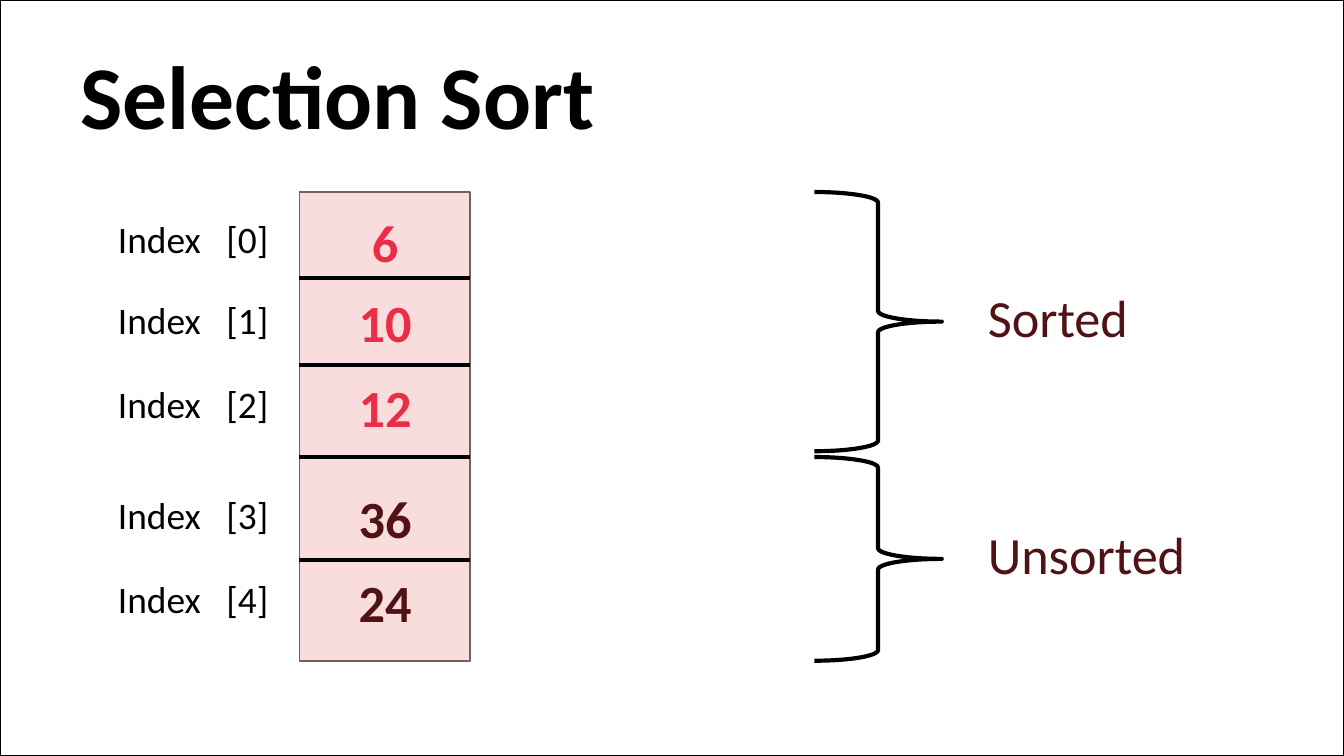
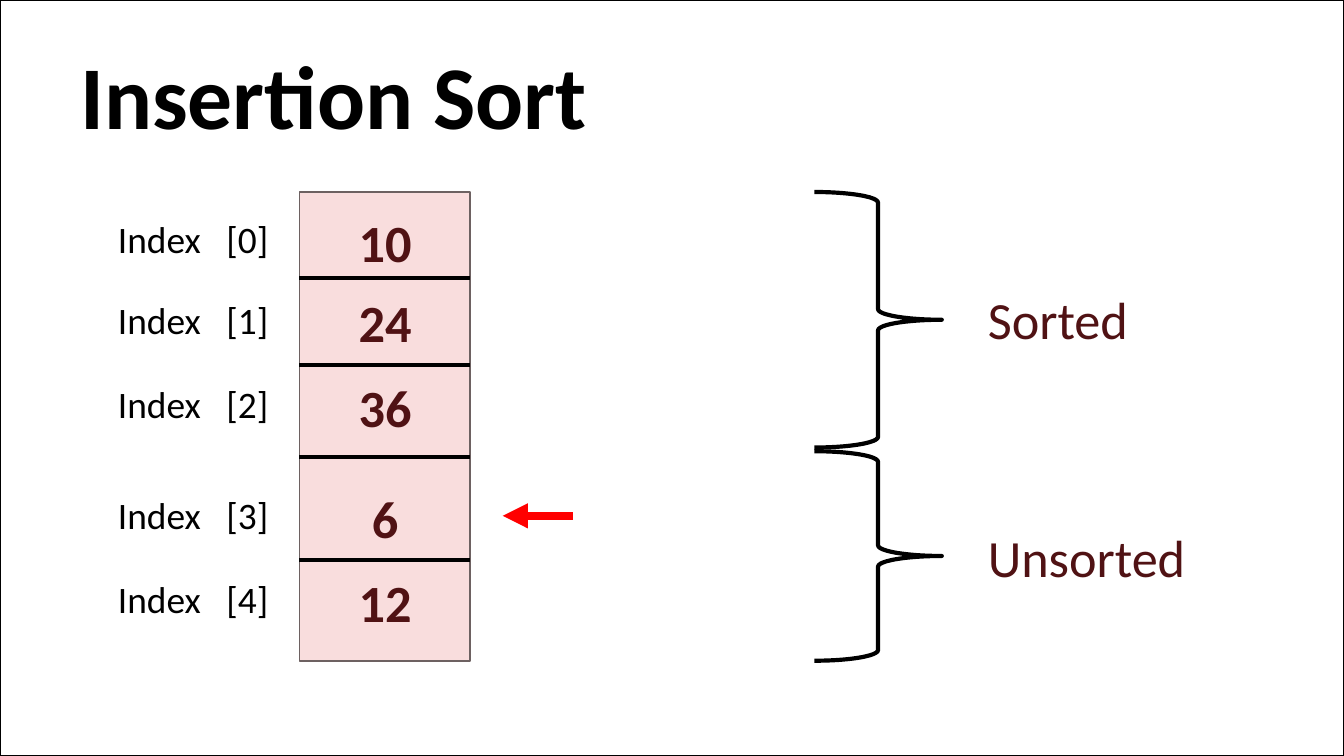
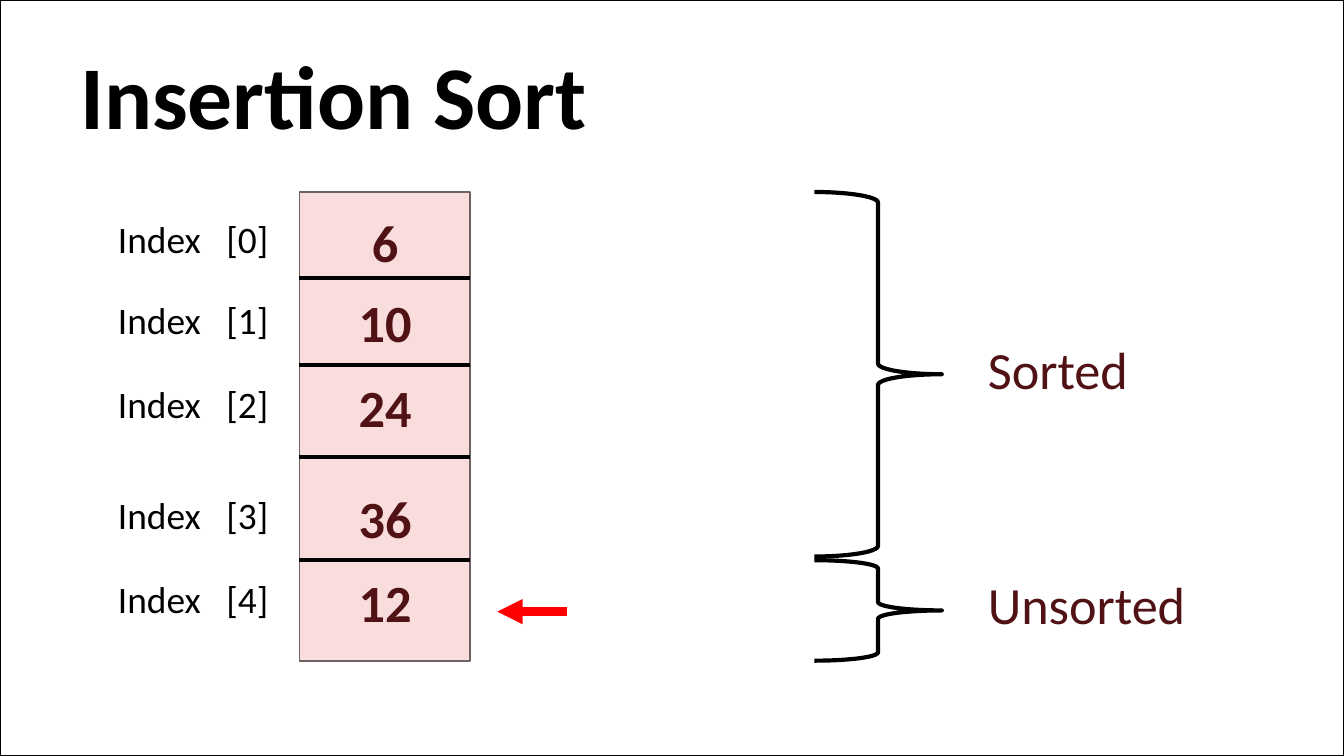
from lxml import etree
from pptx import Presentation, util as u
from pptx.dml.color import RGBColor
from pptx.enum import shapes, text
from pptx.oxml.ns import qn

Cm, Pt = u.Cm, u.Pt
color = RGBColor.from_string

# Shared look
FONT = "Calibri"
BLACK, WHITE, RED = "000000", "FFFFFF", "FF0000"
MAROON, CRIMSON = "501214", "EB2E47"
CELL_PINK, CELL_EDGE = "F9DDDD", "6D6161"
RULE = 2.25

# Array column and braces, in cm
ARRAY_LEFT, ARRAY_TOP, ARRAY_WIDTH, ARRAY_HEIGHT = 5.66, 3.63, 3.23, 8.86
ARRAY_BOTTOM = ARRAY_TOP + ARRAY_HEIGHT
DIVIDERS = [5.26, 6.9, 8.64, 10.59]
INDEX_TOPS = [3.1, 4.62, 6.22, 8.31, 9.91]
VALUE_DROP = 0.75
BRACE_LEFT, BRACE_WIDTH = 15.39, 2.41
LABEL_LEFT = 18.42

# Each step: values, how many are highlighted, the end of the sorted part,
# the start of the unsorted part, label tops, and the arrow's tail (x, y)
STEPS = [
    ("Selection Sort", [6, 10, 12, 36, 24], 3, 8.53, 8.64, (5.26, 9.75), None),
    ("Insertion Sort", [10, 24, 36, 6, 12], 0, 8.46, 8.53, (5.31, 9.8), (10.82, 9.75)),
    ("Insertion Sort", [6, 10, 24, 36, 12], 0, 10.52, 10.59, (6.25, 10.69), (10.72, 11.56)),
]


def add_text(slide, words, left, top, width, height, size, ink, bold=False):
    box = slide.shapes.add_textbox(Cm(left), Cm(top), Cm(width), Cm(height))
    box.text_frame.word_wrap = True
    box.text_frame.text = words
    font = box.text_frame.paragraphs[0].runs[0].font
    font.name, font.size, font.bold = FONT, Pt(size), bold
    font.color.rgb = color(ink)
    return box.text_frame


def add_line(slide, x1, y1, x2, y2, ink, width):
    line = slide.shapes.add_connector(
        shapes.MSO_CONNECTOR.STRAIGHT, Cm(x1), Cm(y1), Cm(x2), Cm(y2))
    line.line.color.rgb = color(ink)
    line.line.width = Pt(width)
    etree.SubElement(line._element.spPr, qn("a:effectLst"))
    return line


deck = Presentation()
deck.slide_width, deck.slide_height = Cm(25.4), Cm(14.29)

for title, values, highlighted, sorted_end, unsorted_start, label_tops, arrow_tail in STEPS:
    slide = deck.slides.add_slide(deck.slide_layouts[6])

    # Framed page and array column
    for left, top, width, height, fill, edge in [
        (0, 0, 25.4, 14.29, WHITE, BLACK),
        (ARRAY_LEFT, ARRAY_TOP, ARRAY_WIDTH, ARRAY_HEIGHT, CELL_PINK, CELL_EDGE),
    ]:
        panel = slide.shapes.add_shape(
            shapes.MSO_SHAPE.RECTANGLE, Cm(left), Cm(top), Cm(width), Cm(height))
        panel.shadow.inherit = False
        panel.fill.solid()
        panel.fill.fore_color.rgb = color(fill)
        panel.line.color.rgb = color(edge)
        panel.line.width = Pt(1)

    # Title
    heading = add_text(slide, title, 1.27, 0.79, 22.86, 2.21, 48, BLACK, True)
    heading.vertical_anchor = text.MSO_ANCHOR.MIDDLE
    heading.paragraphs[0].line_spacing = 0.9

    # Cell dividers
    for y in DIVIDERS:
        add_line(slide, ARRAY_LEFT, y, ARRAY_LEFT + ARRAY_WIDTH, y, BLACK, RULE)

    # Index labels and cell values
    for i, (top, value) in enumerate(zip(INDEX_TOPS, values)):
        index = add_text(slide, f"Index\t[{i}]", 1.98, top, 3.51, 3.68, 20, BLACK)
        index.margin_top = Cm(0.99)
        tabs = etree.SubElement(
            index.paragraphs[0]._p.get_or_add_pPr(), qn("a:tabLst"))
        etree.SubElement(tabs, qn("a:tab"), pos=str(Cm(2.05)), algn="l")

        ink = CRIMSON if i < highlighted else MAROON
        cell = add_text(slide, str(value), 5.97, top + VALUE_DROP, 2.62, 1.45, 28, ink, True)
        cell.paragraphs[0].alignment = text.PP_ALIGN.CENTER

    # Sorted and unsorted parts
    for part, start, end, label_top in [
        ("Sorted", ARRAY_TOP, sorted_end, label_tops[0]),
        ("Unsorted", unsorted_start, ARRAY_BOTTOM, label_tops[1]),
    ]:
        brace = slide.shapes.add_shape(
            shapes.MSO_SHAPE.RIGHT_BRACE,
            Cm(BRACE_LEFT), Cm(start), Cm(BRACE_WIDTH), Cm(end - start))
        brace.shadow.inherit = False
        brace.fill.background()
        brace.line.color.rgb = color(BLACK)
        brace.line.width = Pt(RULE)
        add_text(slide, part, LABEL_LEFT, label_top, 4.5, 1.45, 28, MAROON)

    # Arrow at the next value to insert
    if arrow_tail:
        x, y = arrow_tail
        arrow = add_line(slide, x, y, x - 1.32, y, RED, 4.5)
        etree.SubElement(arrow.line._get_or_add_ln(), qn("a:tailEnd"), type="triangle")

deck.save("out.pptx")
